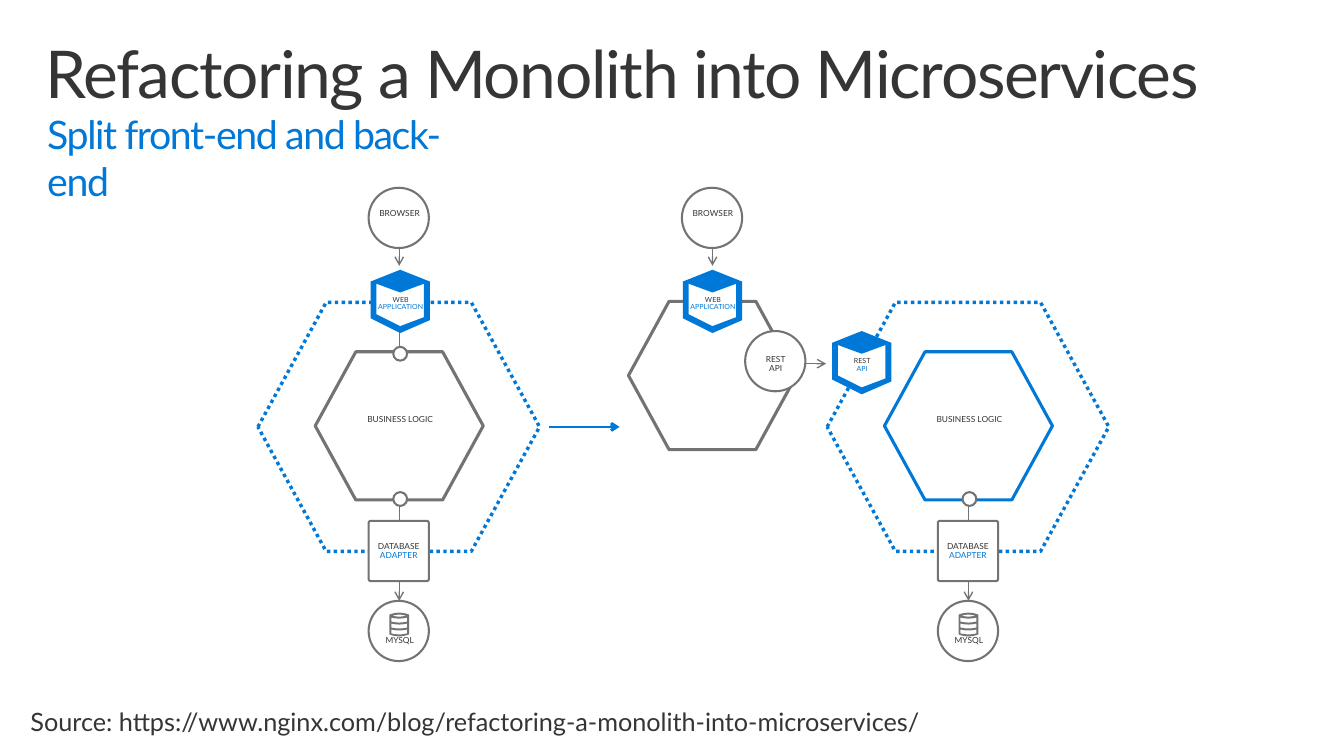
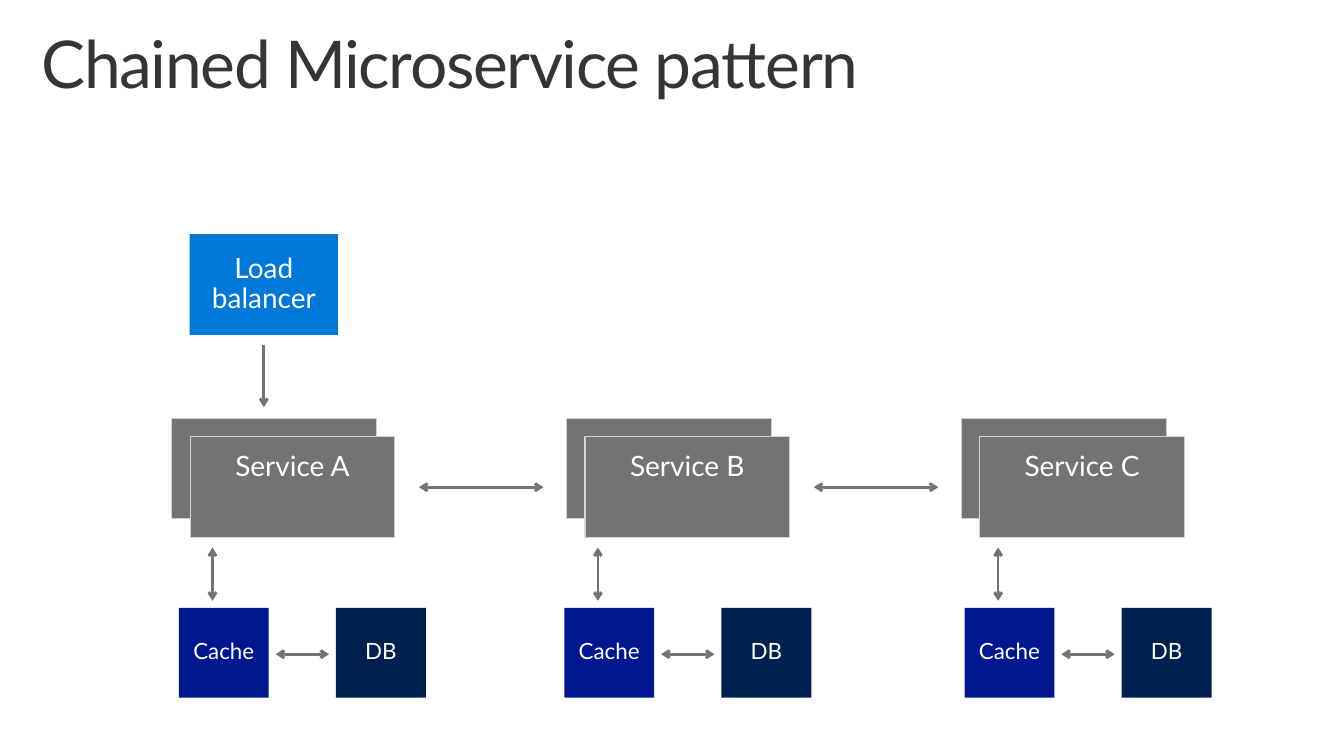
from dataclasses import dataclass

from lxml.etree import SubElement
from pptx import Presentation
from pptx.dml.color import RGBColor
from pptx.enum.dml import MSO_LINE
from pptx.enum.shapes import MSO_CONNECTOR, MSO_SHAPE
from pptx.enum.text import MSO_ANCHOR, PP_ALIGN
from pptx.oxml.ns import qn
from pptx.util import Inches, Pt


@dataclass(frozen=True)
class Theme:
    font: str = "Lato"
    ink: str = "353535"
    blue: str = "0078D7"
    gray: str = "737373"
    edge: str = "D2D2D2"
    cache: str = "00188F"
    database: str = "002050"
    white: str = "FFFFFF"
    title: float = 48
    subtitle: float = 28.6
    box: float = 20.4
    store: float = 16.3
    source: float = 18.4
    label: float = 6.1
    cube: float = 5.1


THEME = Theme()
NODE = 0.61  # side of the small nodes
PORT = 0.14


# Basic parts
def write(shape, lines, size, color=THEME.ink, align=PP_ALIGN.CENTER, anchor=MSO_ANCHOR.TOP,
          insets=(0.05, 0.1), line_spacing=0.9, tracking=0):
    """Fill a shape with lines, each a string or a (string, colour) pair."""
    frame = shape.text_frame
    frame.word_wrap = True
    frame.vertical_anchor = anchor
    frame.margin_left = frame.margin_right = Inches(insets[0])
    frame.margin_top = frame.margin_bottom = Inches(insets[1])
    for index, line in enumerate(lines):
        text, line_color = (line, color) if isinstance(line, str) else line
        paragraph = frame.add_paragraph() if index else frame.paragraphs[0]
        paragraph.alignment = align
        paragraph.line_spacing = line_spacing
        run = paragraph.add_run()
        run.text = text
        run.font.name = THEME.font
        run.font.size = Pt(size)
        run.font.color.rgb = RGBColor.from_string(line_color)
        if tracking:
            run.font._element.set("spc", str(tracking))


def add_text(slide, left, top, width, height, lines, size, **text_format):
    box = slide.shapes.add_textbox(Inches(left), Inches(top), Inches(width), Inches(height))
    write(box, lines, size, **text_format)


def paint(shape, fill=None, line=None, weight=1.5):
    shape.shadow.inherit = False
    if fill:
        shape.fill.solid()
        shape.fill.fore_color.rgb = RGBColor.from_string(fill)
    else:
        shape.fill.background()
    if line:
        shape.line.color.rgb = RGBColor.from_string(line)
        shape.line.width = Pt(weight)
    else:
        shape.line.fill.background()


def add_shape(slide, kind, left, top, width, height, fill=THEME.white, line=THEME.gray, weight=1.5):
    shape = slide.shapes.add_shape(kind, Inches(left), Inches(top), Inches(width), Inches(height))
    paint(shape, fill, line, weight)
    return shape


def add_outline(slide, left, top, contours, fill):
    """Draw closed contours, given in inches from the left and top."""
    contours = [[(Inches(left + x), Inches(top + y)) for x, y in points] for points in contours]
    builder = slide.shapes.build_freeform(*contours[0][0], scale=1)
    for index, points in enumerate(contours):
        if index:
            builder.move_to(*points[0])
        builder.add_line_segments(points[1:], close=True)
    paint(builder.convert_to_shape(), fill)


def add_line(slide, start, end, color=THEME.gray, weight=1, ends=("tailEnd",)):
    points = [Inches(value) for value in (*start, *end)]
    connector = slide.shapes.add_connector(MSO_CONNECTOR.STRAIGHT, *points)
    connector.line.color.rgb = RGBColor.from_string(color)
    connector.line.width = Pt(weight)
    properties = connector._element.spPr
    for name in ends:
        SubElement(properties.find(qn("a:ln")), qn("a:" + name), type="arrow")
    SubElement(properties, qn("a:effectLst"))


def add_title(slide, left, top, text):
    add_text(slide, left, top, 13, 1, [text], THEME.title, align=PP_ALIGN.LEFT,
             insets=(0.16, 0.1), tracking=-100)


# Parts of the refactoring diagram
def add_hexagon(slide, left, top, width, height, **style):
    hexagon = add_shape(slide, MSO_SHAPE.HEXAGON, left, top, width, height, **style)
    hexagon.adjustments[0] = 0.274
    return hexagon


def add_core(slide, left, top, color=THEME.gray):
    add_hexagon(slide, left, top, 1.7, 1.5, line=color, weight=2.25)


def add_circle(slide, left, top, size=NODE):
    add_shape(slide, MSO_SHAPE.OVAL, left, top, size, size)


def add_browser(slide, left, top):
    add_circle(slide, left, top)
    add_text(slide, left + 0.01, top + 0.17, 0.68, 0.3, ["BROWSER"], THEME.label,
             align=PP_ALIGN.LEFT, insets=(0.1, 0.1))
    add_line(slide, (left + 0.31, top + NODE), (left + 0.31, top + 0.79))


def add_cube(slide, left, top, first, second):
    body = [(0.03, 0.14), (0.3, 0.23), (0.57, 0.14), (0.57, 0.52), (0.3, 0.62), (0.03, 0.49)]
    lid = [(0, 0.12), (0.3, 0), (0.6, 0.12), (0.3, 0.23)]
    rim = [(0.3, 0.64), (0, 0.49), (0, 0.12), (0.06, 0.12), (0.06, 0.45), (0.3, 0.57),
           (0.54, 0.48), (0.54, 0.12), (0.6, 0.12), (0.6, 0.51)]
    for points, fill in ((body, THEME.white), (lid, THEME.blue), (rim, THEME.blue)):
        add_outline(slide, left, top, [points], fill)
    add_text(slide, left - 0.08, top + 0.19, 0.77, 0.36, [first, (second, THEME.blue)], THEME.cube)


def add_cylinder(slide, left, top):
    def band(start, end, upper, lower, upper_sag, lower_sag, steps=8):
        ratios = [step / steps for step in range(steps + 1)]
        edge = [(start + (end - start) * t, 4 * t * (1 - t)) for t in ratios]
        return ([(x, upper + upper_sag * bend) for x, bend in edge]
                + [(x, lower + lower_sag * bend) for x, bend in reversed(edge)])

    contours = [band(0, 0.2, 0.02, 0.22, -0.02, 0.02), band(0.03, 0.17, 0.03, 0.03, -0.01, 0.01)]
    contours += [band(0.02, 0.18, y, y + 0.04, 0.01, 0.01) for y in (0.05, 0.11, 0.17)]
    add_outline(slide, left, top, contours, THEME.gray)


def add_backend(slide, left, top, color):
    """Dotted boundary with business logic, database adapter and database."""
    boundary = add_hexagon(slide, left, top, 2.85, 2.52, fill=None, line=THEME.blue, weight=2.5)
    boundary.line.dash_style = MSO_LINE.ROUND_DOT
    center = left + 1.43
    node_left = left + 1.12
    add_line(slide, (center, top + 2.02), (center, top + 3.02))
    # Database adapter
    adapter = add_shape(slide, MSO_SHAPE.ROUNDED_RECTANGLE, node_left, top + 2.21, NODE, NODE)
    adapter.adjustments[0] = 0.035
    add_text(slide, node_left - 0.01, top + 2.34, 0.63, 0.39,
             ["DATABASE", ("ADAPTER", THEME.blue)], THEME.label)
    # Database
    add_circle(slide, node_left, top + 3.02)
    add_text(slide, node_left + 0.02, top + 3.33, 0.59, 0.3, ["MYSQL"], THEME.label)
    add_cylinder(slide, node_left + 0.21, top + 3.14)
    # Business logic
    add_core(slide, left + 0.58, top + 0.5, color)
    add_text(slide, left + 1, top + 1.1, 0.88, 0.3, ["BUSINESS LOGIC"], THEME.label)
    add_circle(slide, left + 1.37, top + 1.92, PORT)


def add_monolith(slide, left, top):
    add_backend(slide, left, top, THEME.gray)
    add_line(slide, (left + 1.43, top + 0.29), (left + 1.43, top + 0.5), ends=())
    add_circle(slide, left + 1.37, top + 0.45, PORT)
    add_cube(slide, left + 1.14, top - 0.33, "WEB", "APPLICATION")
    add_browser(slide, left + 1.12, top - 1.16)


def add_frontend(slide, left, top):
    add_core(slide, left, top)
    add_browser(slide, left + 0.54, top - 1.15)
    add_cube(slide, left + 0.55, top - 0.32, "WEB", "APPLICATION")
    add_circle(slide, left + 1.18, top + 0.3)
    add_text(slide, left + 1.19, top + 0.45, 0.6, 0.39, ["REST", "API"], THEME.label)
    add_line(slide, (left + 1.79, top + 0.63), (left + 2, top + 0.63))


def build_refactoring(slide):
    add_title(slide, 0.3, 0.32, "Refactoring a Monolith into Microservices")
    add_text(slide, 0.38, 1.07, 4.7, 0.59, ["Split front-end and back-end"], THEME.subtitle,
             color=THEME.blue, align=PP_ALIGN.LEFT, insets=(0.1, 0.05), line_spacing=1, tracking=-100)
    add_monolith(slide, 2.61, 3.06)
    add_line(slide, (5.56, 4.32), (6.27, 4.32), THEME.blue, 2)
    add_frontend(slide, 6.36, 3.05)
    add_backend(slide, 8.37, 3.06, THEME.blue)
    add_cube(slide, 8.42, 3.35, "REST", "API")
    add_text(slide, 0.21, 7.1, 9.47, 0.42,
             ["Source: https://www.nginx.com/blog/refactoring-a-monolith-into-microservices/"],
             THEME.source, align=PP_ALIGN.LEFT, insets=(0.1, 0.05), line_spacing=1)


# Parts of the chained pattern
def add_box(slide, left, top, width, height, fill, text=None, line=None, size=THEME.box,
            anchor=MSO_ANCHOR.MIDDLE, side=0.2):
    box = add_shape(slide, MSO_SHAPE.RECTANGLE, left, top, width, height, fill, line, 0.75)
    if text:
        write(box, [text], size, color=THEME.white, anchor=anchor, insets=(side, 0.16))


def add_exchange(slide, start, end):
    add_line(slide, start, end, weight=2, ends=("headEnd", "tailEnd"))


def add_service(slide, left, top, name):
    for offset, text in ((0, None), (0.185, name)):
        add_box(slide, left + offset, top + offset, 2.07, 1.02, THEME.gray, text,
                line=THEME.edge, anchor=MSO_ANCHOR.TOP)


def add_stores(slide, left, top):
    side = 0.91
    add_box(slide, left, top, side, side, THEME.cache, "Cache", size=THEME.store, side=0.1)
    add_box(slide, left + 1.59, top, side, side, THEME.database, "DB", size=THEME.store)
    add_exchange(slide, (left + 0.34, top - 0.61), (left + 0.34, top - 0.07))
    add_exchange(slide, (left + 0.98, top + 0.47), (left + 1.52, top + 0.47))


def build_chain(slide):
    add_title(slide, 0.26, 0.22, "Chained Microservice pattern")
    add_box(slide, 1.92, 2.37, 1.5, 1.02, THEME.blue, "Load balancer")
    add_line(slide, (2.67, 3.49), (2.67, 4.12), weight=2)
    stores = (1.81, 5.71, 9.76)
    for index, (letter, store_left) in enumerate(zip("ABC", stores)):
        left = 1.74 + 3.995 * index
        add_service(slide, left, 4.23, f"Service {letter}")
        add_stores(slide, store_left, 6.15)
        if index < len(stores) - 1:
            add_exchange(slide, (left + 2.5, 4.93), (left + 3.76, 4.93))


def main():
    presentation = Presentation()
    presentation.slide_width = Inches(13.6)
    presentation.slide_height = Inches(7.65)
    for build in (build_refactoring, build_chain):
        build(presentation.slides.add_slide(presentation.slide_layouts[6]))
    presentation.save("out.pptx")


if __name__ == "__main__":
    main()
